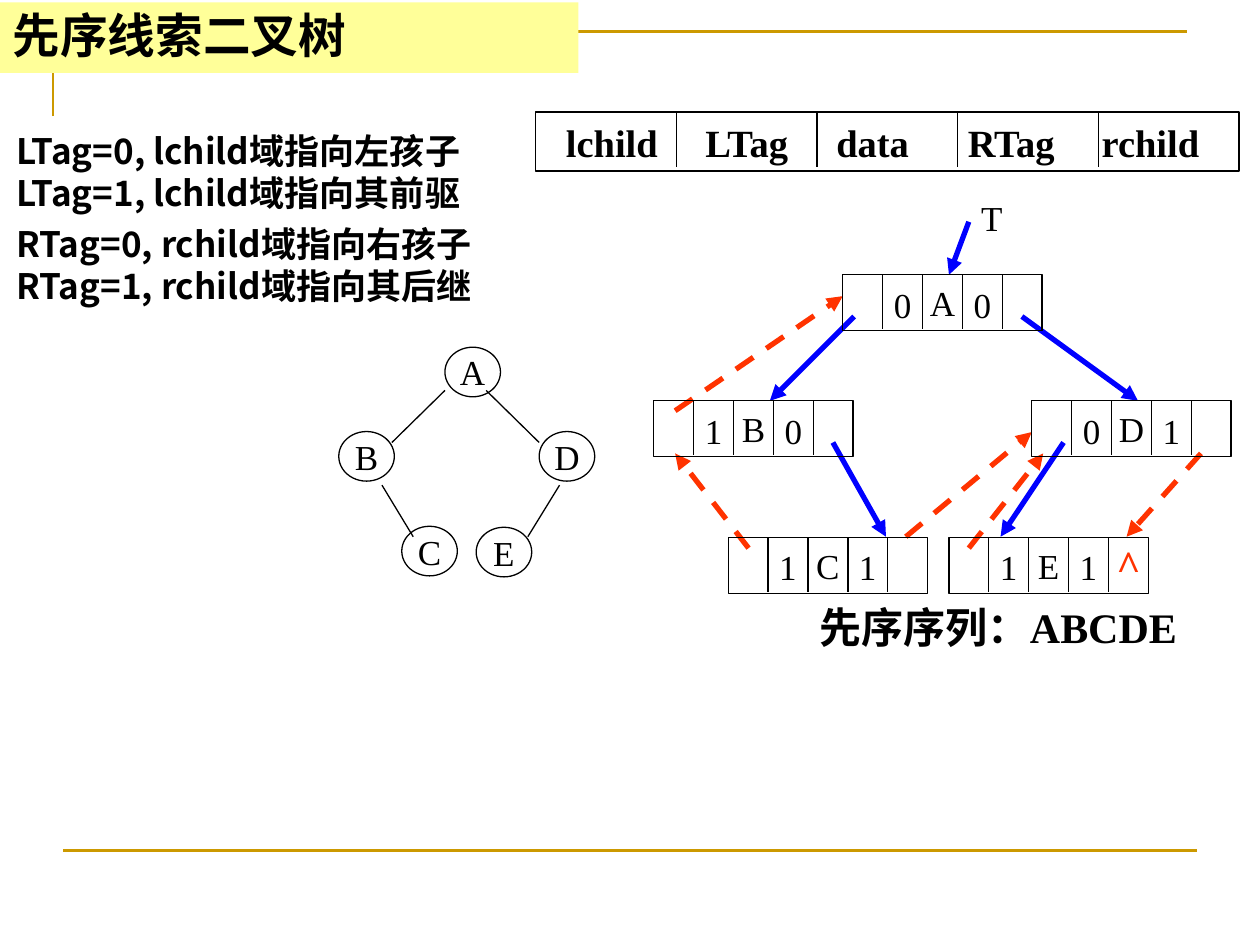
from dataclasses import dataclass
from typing import NamedTuple

import lxml.etree
import pptx
import pptx.dml.color
import pptx.enum.dml
import pptx.enum.shapes
import pptx.enum.text
import pptx.oxml.ns
import pptx.util

Cm = pptx.util.Cm
Pt = pptx.util.Pt
ALIGN = pptx.enum.text.PP_ALIGN
ANCHOR = pptx.enum.text.MSO_ANCHOR
SHAPE = pptx.enum.shapes.MSO_SHAPE
qn = pptx.oxml.ns.qn


@dataclass(frozen=True)
class Theme:
    ink: str = "000000"
    gold: str = "CC9900"
    child: str = "0000FF"
    thread: str = "FF3300"
    banner: str = "FFFF99"
    serif: str = "Times New Roman"
    sans: str = "Noto Sans CJK SC"
    title: float = 27.2
    large: float = 24
    header: float = 22
    body: float = 20
    thin: float = 0.75
    rule: float = 1.5
    arrow: float = 3


T = Theme()


class Node(NamedTuple):
    label: str
    x: float
    y: float


class Record(NamedTuple):
    label: str
    x: float
    y: float
    ltag: str
    rtag: str
    mark: str = ""


class Link(NamedTuple):
    x1: float
    y1: float
    x2: float
    y2: float


NODE_W, NODE_H = 1.12, 1.0
NODES = [Node("A", 9.53, 7.5), Node("B", 7.39, 9.2), Node("C", 8.66, 11.11),
         Node("D", 11.43, 9.2), Node("E", 10.16, 11.13)]
EDGES = [Link(8.97, 7.87, 7.9, 8.92), Link(9.8, 7.87, 10.87, 8.92),
         Link(7.7, 9.78, 8.33, 10.82), Link(11.28, 9.78, 10.64, 10.82)]

CELL, RECORD_H = 0.804, 1.12
RECORDS = [Record("A", 16.99, 5.54, "0", "0"), Record("B", 13.18, 8.08, "1", "0"),
           Record("D", 20.8, 8.08, "0", "1"), Record("C", 14.68, 10.84, "1", "1"),
           Record("E", 19.13, 10.84, "1", "1", "^")]
CHILD_LINKS = [Link(17.22, 6.38, 15.52, 8.08), Link(20.6, 6.38, 22.94, 8.08),
               Link(16.79, 8.92, 17.86, 10.82), Link(21.44, 8.92, 20.17, 10.82),
               Link(19.53, 4.47, 19.13, 5.54)]
THREAD_LINKS = [Link(13.61, 8.28, 16.99, 5.97), Link(15.09, 11.05, 13.61, 9.14),
                Link(18.26, 10.82, 20.8, 8.71), Link(24.21, 9.14, 22.71, 10.82),
                Link(19.53, 11.05, 21.03, 9.14)]

FIELDS = ["lchild", "LTag", "data", "RTag", "rchild"]
FIELD_TABS = [2.81, 5.45, 8.1, 10.8]
RULES = ["LTag=0, lchild域指向左孩子\vLTag=1, lchild域指向其前驱",
         "RTag=0, rchild域指向右孩子\vRTag=1, rchild域指向其后继"]


def rgb(color: str) -> pptx.dml.color.RGBColor:
    return pptx.dml.color.RGBColor.from_string(color)


def style(p, size: float, face: str = T.serif, bold: bool = False,
          color: str = T.ink, align=ALIGN.LEFT) -> None:
    p.alignment = align
    f = p.font
    f.size, f.bold, f.name = Pt(size), bold, face
    f.color.rgb = rgb(color)
    ea = lxml.etree.SubElement(f._element, qn("a:ea"))
    ea.set("typeface", T.sans)


def outline(sp, color: str = T.ink, width: float = T.thin) -> None:
    sp.shadow.inherit = False
    sp.fill.background()
    sp.line.color.rgb = rgb(color)
    sp.line.width = Pt(width)


def line(s, link: Link, color: str = T.ink, width: float = T.thin,
         arrow: bool = False, dashed: bool = False) -> None:
    c = s.shapes.add_connector(pptx.enum.shapes.MSO_CONNECTOR.STRAIGHT,
                               *(Cm(v) for v in link))
    c.line.color.rgb = rgb(color)
    c.line.width = Pt(width)
    if dashed:
        c.line.dash_style = pptx.enum.dml.MSO_LINE.DASH
    if arrow:
        tail = lxml.etree.SubElement(c.line._get_or_add_ln(), qn("a:tailEnd"))
        tail.set("type", "triangle")
    lxml.etree.SubElement(c._element.spPr, qn("a:effectLst"))


def shape(s, kind, x: float, y: float, w: float, h: float, text: str):
    sp = s.shapes.add_shape(kind, Cm(x), Cm(y), Cm(w), Cm(h))
    outline(sp)
    tf = sp.text_frame
    tf.word_wrap = False
    tf.vertical_anchor = ANCHOR.MIDDLE
    tf.paragraphs[0].text = text
    return sp


def label(s, x: float, y: float, w: float, h: float, text: str, size: float = T.body,
          anchor=ANCHOR.TOP, **font) -> None:
    tf = s.shapes.add_textbox(Cm(x), Cm(y), Cm(w), Cm(h)).text_frame
    tf.word_wrap = False
    tf.vertical_anchor = anchor
    tf.paragraphs[0].text = text
    style(tf.paragraphs[0], size, **font)


def dividers(s, x: float, y: float, cell: float, h: float) -> None:
    for k in range(1, 5):
        line(s, Link(x + k * cell, y, x + k * cell, y + h))


def draw_node(s, n: Node) -> None:
    sp = shape(s, SHAPE.OVAL, n.x - NODE_W / 2, n.y - NODE_H / 2, NODE_W, NODE_H, n.label)
    style(sp.text_frame.paragraphs[0], T.body, align=ALIGN.CENTER)


def draw_record(s, rec: Record) -> None:
    sp = shape(s, SHAPE.RECTANGLE, rec.x, rec.y, 5 * CELL, RECORD_H, rec.label)
    style(sp.text_frame.paragraphs[0], T.body, align=ALIGN.CENTER)
    dividers(s, rec.x, rec.y, CELL, 1.1)
    middle = dict(anchor=ANCHOR.MIDDLE, align=ALIGN.CENTER)
    for k, tag in ((1, rec.ltag), (3, rec.rtag)):
        label(s, rec.x + k * CELL - 0.03, rec.y + 0.03, 0.86, RECORD_H, tag, **middle)
    if rec.mark:
        label(s, rec.x + 4 * CELL - 0.09, rec.y - 0.11, 0.98, 1.27, rec.mark, T.large,
              bold=True, color=T.thread, **middle)


def draw_header(s) -> None:
    x, y, cell = 10.8, 2.26, 2.836
    sp = shape(s, SHAPE.RECTANGLE, x, y, 5 * cell, 1.19, "\t".join(FIELDS))
    sp.text_frame.margin_left = Cm(0.61)
    p = sp.text_frame.paragraphs[0]
    tabs = lxml.etree.SubElement(p._p.get_or_add_pPr(), qn("a:tabLst"))
    for pos in FIELD_TABS:
        lxml.etree.SubElement(tabs, qn("a:tab"), pos=str(int(Cm(pos))), algn="l")
    style(p, T.header, bold=True)
    dividers(s, x, y, cell, 1.1)


def draw_frame(s) -> None:
    fb = s.shapes.build_freeform(Cm(1.07), Cm(2.34))
    fb.add_line_segments([(Cm(1.07), Cm(0.64)), (Cm(23.93), Cm(0.64))], close=False)
    outline(fb.convert_to_shape(), T.gold, T.rule)
    line(s, Link(1.27, 17.15, 24.13, 17.15), T.gold, T.rule)


def draw_title(s) -> None:
    sp = s.shapes.title
    s.shapes._spTree.append(sp._element)
    sp.left, sp.top, sp.width, sp.height = Cm(0), Cm(0.05), Cm(11.66), Cm(1.42)
    sp.fill.solid()
    sp.fill.fore_color.rgb = rgb(T.banner)
    tf = sp.text_frame
    tf.auto_size = pptx.enum.text.MSO_AUTO_SIZE.NONE
    tf.vertical_anchor = ANCHOR.MIDDLE
    p = tf.paragraphs[0]
    p.text = "先序线索二叉树"
    p.line_spacing = 0.9
    style(p, T.title, T.sans, True)


def draw_rules(s) -> None:
    tf = s.shapes.add_textbox(Cm(0.08), Cm(2.49), Cm(10), Cm(7.21)).text_frame
    tf.word_wrap = True
    for i, text in enumerate(RULES):
        p = tf.add_paragraph() if i else tf.paragraphs[0]
        p.text = text
        p.space_before = Pt(5 if i else 0)
        style(p, T.body, T.sans, True)


def main() -> None:
    prs = pptx.Presentation()
    prs.slide_width, prs.slide_height = Cm(25.4), Cm(19.05)
    s = prs.slides.add_slide(prs.slide_layouts[5])
    draw_frame(s)
    for n in NODES:
        draw_node(s, n)
    for e in EDGES:
        line(s, e)
    for link in CHILD_LINKS:
        line(s, link, T.child, T.arrow, arrow=True)
    for link in THREAD_LINKS:
        line(s, link, T.thread, T.arrow, arrow=True, dashed=True)
    for rec in RECORDS:
        draw_record(s, rec)
    label(s, 19.53, 3.84, 0.94, 1.12, "T")
    label(s, 16.28, 12.01, 7.9, 1.27, "先序序列：ABCDE", T.large, bold=True)
    draw_header(s)
    draw_title(s)
    draw_rules(s)
    prs.save("out.pptx")


if __name__ == "__main__":
    main()
